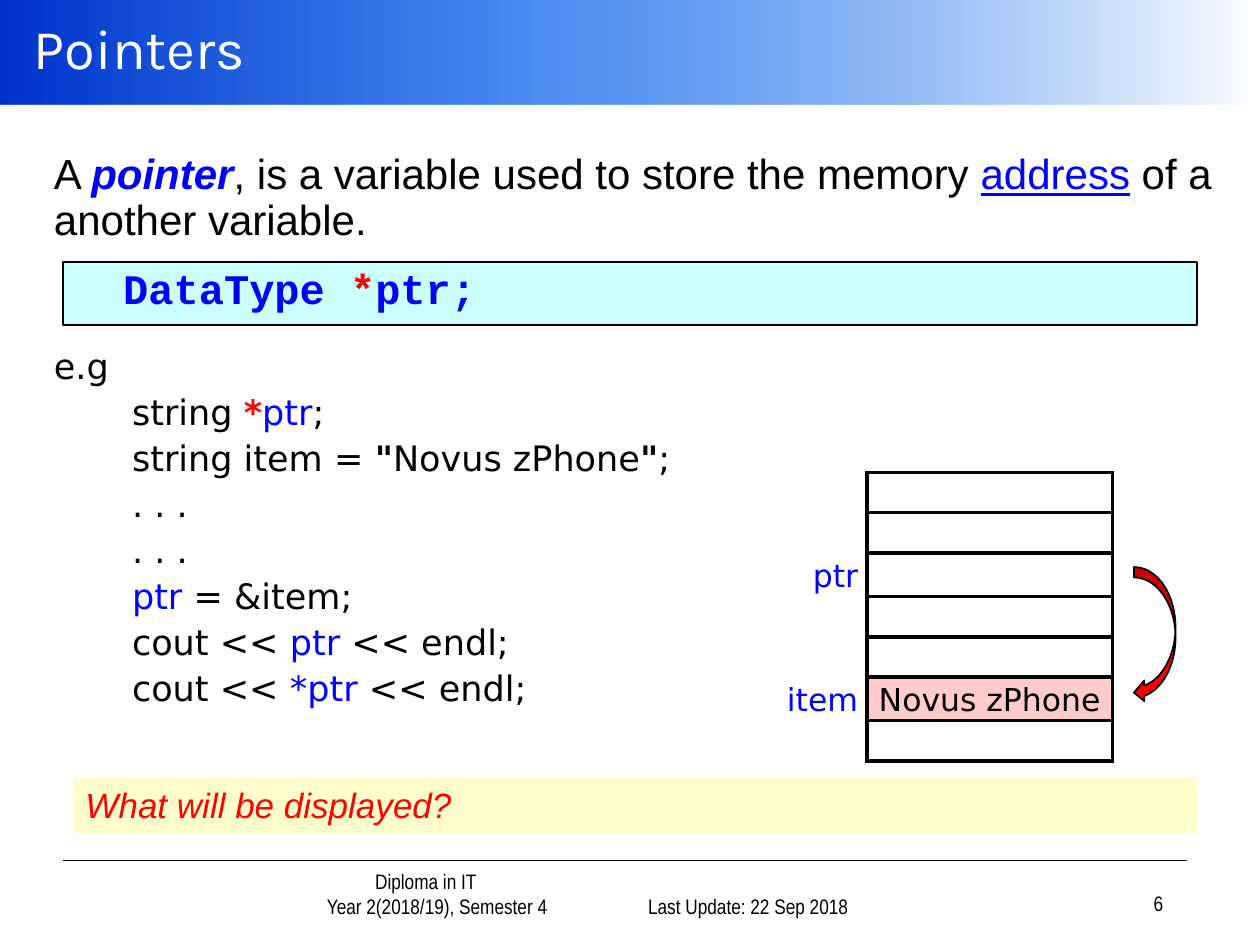
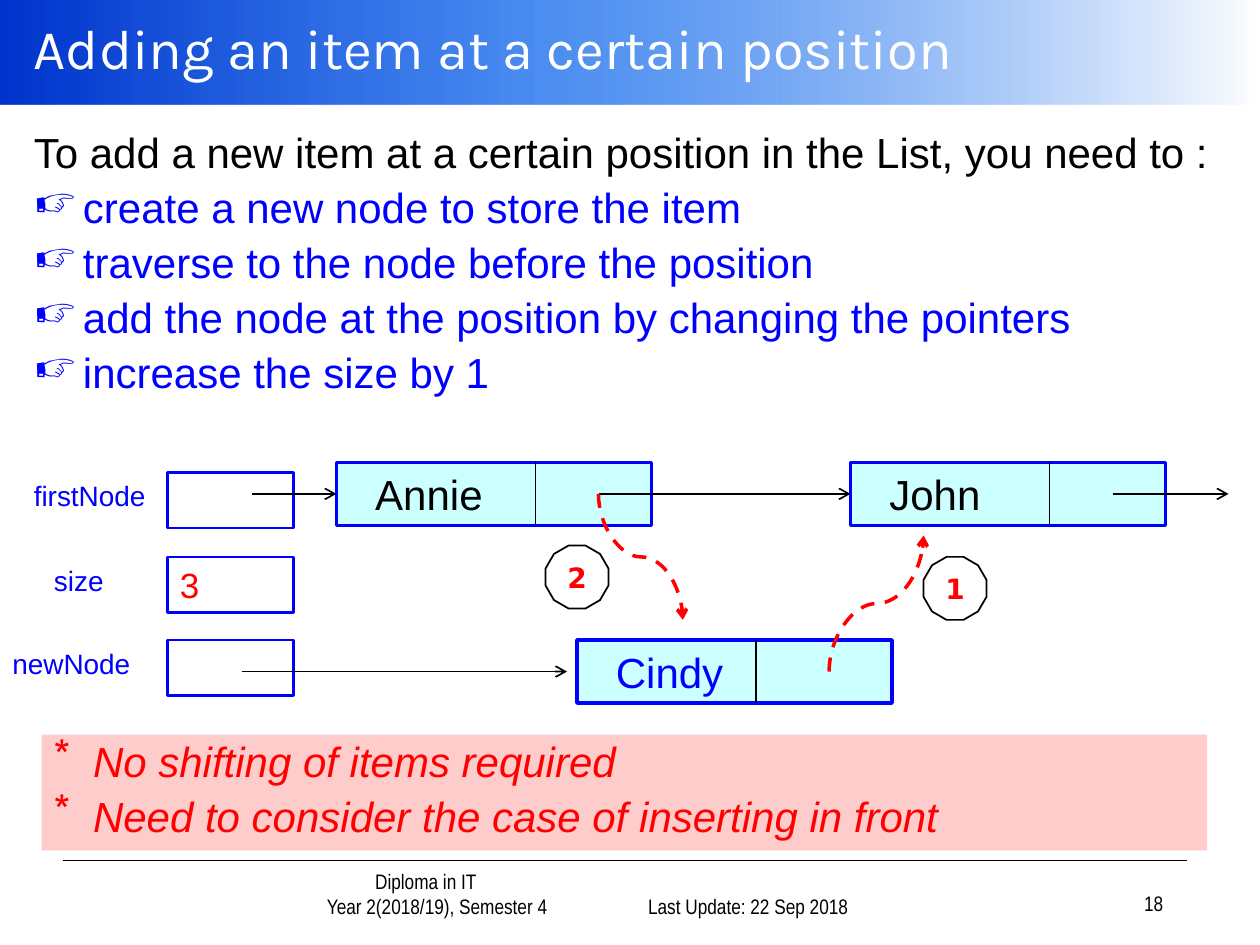
"""Build two lecture slides on pointers and linked lists."""
from dataclasses import dataclass

from lxml.etree import SubElement
from pptx import Presentation
from pptx.dml.color import RGBColor
from pptx.enum.dml import MSO_LINE
from pptx.enum.shapes import MSO_CONNECTOR, MSO_SHAPE
from pptx.enum.text import MSO_ANCHOR, PP_ALIGN
from pptx.oxml.ns import qn
from pptx.util import Inches, Pt


@dataclass(frozen=True)
class Theme:
    black: str = "000000"
    white: str = "FFFFFF"
    blue: str = "0000FF"
    red: str = "FF0000"
    cyan: str = "CCFFFF"
    pink: str = "FFCCCC"
    yellow: str = "FFFFCC"
    band: tuple = ((0, "0033CC", 100), (43, "005EEB", 70), (100, "FFFFFF", 100))
    sans: str = "Arial"
    wide: str = "DejaVu Sans"
    mono: str = "Courier New"
    narrow: str = "Arial Narrow"
    heading: str = "Karla"
    title: int = 32
    body: int = 24
    code: int = 20
    cell: int = 18
    label: int = 16
    footer: int = 12


THEME = Theme()


class Deck:
    def __init__(self, theme):
        self.theme = theme
        self.presentation = Presentation()
        self.presentation.slide_width = Inches(10)
        self.presentation.slide_height = Inches(7.5)
        self.slide = None

    def new_slide(self, title, number):
        theme = self.theme
        self.slide = self.presentation.slides.add_slide(self.presentation.slide_layouts[6])
        self.gradient_band(0, 0, 10, 0.83)
        self.line((0.5, 6.83), (9.42, 6.83), arrow=False)
        self.text(0.17, 0, 9.83, 0.75, [title], size=theme.title, font=theme.heading,
                  color=theme.white, anchor=MSO_ANCHOR.MIDDLE)
        small = dict(size=theme.footer, font=theme.narrow, anchor=MSO_ANCHOR.BOTTOM)
        course = self.text(1.68, 6.92, 2.9, 0.42,
                           ["Diploma in IT", "Year 2(2018/19), Semester 4"],
                           align=PP_ALIGN.CENTER, **small)
        for paragraph, margin in zip(course.text_frame.paragraphs, (0.5, 0.68)):
            self.indent(paragraph, margin)
        self.text(4.75, 6.92, 2.08, 0.42, ["Last Update: 22 Sep 2018"],
                  align=PP_ALIGN.RIGHT, **small)
        self.text(7.25, 6.9, 2.08, 0.42, [str(number)], align=PP_ALIGN.RIGHT, **small)

    def gradient_band(self, left, top, width, height):
        band = self.box(left, top, width, height)
        band.fill.gradient()
        band.fill.gradient_angle = 0
        stops = band._element.spPr.find(".//" + qn("a:gsLst"))
        for stop in list(stops):
            stops.remove(stop)
        for position, color, opacity in self.theme.band:
            stop = SubElement(stops, qn("a:gs"), pos=str(position * 1000))
            tint = SubElement(stop, qn("a:srgbClr"), val=color)
            if opacity < 100:
                SubElement(tint, qn("a:alpha"), val=str(opacity * 1000))

    def box(self, left, top, width, height, fill=None, line=None, weight=1,
            kind=MSO_SHAPE.RECTANGLE):
        shape = self.slide.shapes.add_shape(
            kind, Inches(left), Inches(top), Inches(width), Inches(height))
        shape.shadow.inherit = False
        if fill:
            shape.fill.solid()
            shape.fill.fore_color.rgb = RGBColor.from_string(fill)
        else:
            shape.fill.background()
        if line:
            shape.line.color.rgb = RGBColor.from_string(line)
            shape.line.width = Pt(weight)
        else:
            shape.line.fill.background()
        return shape

    def text(self, left, top, width, height, lines, **style):
        shape = self.slide.shapes.add_textbox(
            Inches(left), Inches(top), Inches(width), Inches(height))
        self.set_lines(shape.text_frame, lines, **style)
        return shape

    def set_lines(self, frame, lines, size, font=None, color=None, align=PP_ALIGN.LEFT,
                  anchor=MSO_ANCHOR.TOP, spacing=None, before=0, margin=0, bold=None,
                  italic=None):
        """Fill a frame with lines, each a string or a list of (text, colour, flags) runs."""
        frame.word_wrap = True
        frame.vertical_anchor = anchor
        for index, line in enumerate(lines):
            paragraph = frame.add_paragraph() if index else frame.paragraphs[0]
            paragraph.alignment = align
            paragraph.space_before = Pt(before)
            if spacing:
                paragraph.line_spacing = spacing
            paragraph.font.size = Pt(size)
            paragraph.font.name = font or self.theme.sans
            paragraph.font.bold = bold
            paragraph.font.italic = italic
            paragraph.font.color.rgb = RGBColor.from_string(color or self.theme.black)
            if margin:
                self.indent(paragraph, margin)
            for part in [(line,)] if isinstance(line, str) else line:
                self.run(paragraph, *part)

    def run(self, paragraph, text, color=None, flags=""):
        run = paragraph.add_run()
        run.text = text
        if color:
            run.font.color.rgb = RGBColor.from_string(color)
        if "b" in flags:
            run.font.bold = True
        if "i" in flags:
            run.font.italic = True
        if "u" in flags:
            run.font.underline = True

    def indent(self, paragraph, margin, bullet=None):
        properties = paragraph._p.get_or_add_pPr()
        properties.set("marL", str(Inches(margin)))
        properties.set("indent", str(-Inches(margin) if bullet else 0))
        if bullet:
            mark = SubElement(properties, qn("a:buChar"), char=bullet)
            defaults = properties.find(qn("a:defRPr"))
            if defaults is not None:
                defaults.addprevious(mark)

    def line(self, start, end, arrow=True):
        connector = self.slide.shapes.add_connector(
            MSO_CONNECTOR.STRAIGHT, *map(Inches, start + end))
        self.stroke(connector, self.theme.black, 1, arrow)

    def s_curve(self, start, end, turn):
        """Draw a dashed curve that leaves and arrives vertically."""
        sign = 1 if turn == 90 else -1
        middle_x, middle_y = (start[0] + end[0]) / 2, (start[1] + end[1]) / 2
        ends = [(middle_x + sign * (y - middle_y), middle_y - sign * (x - middle_x))
                for x, y in (start, end)]
        connector = self.slide.shapes.add_connector(
            MSO_CONNECTOR.CURVE, *map(Inches, ends[0] + ends[1]))
        connector._element.spPr.find(qn("a:xfrm")).set("rot", str(turn * 60000))
        connector.line.dash_style = MSO_LINE.DASH
        self.stroke(connector, self.theme.red, 2, True)

    def stroke(self, connector, color, weight, arrow):
        connector.line.color.rgb = RGBColor.from_string(color)
        connector.line.width = Pt(weight)
        if arrow:
            SubElement(connector.get_or_add_ln(), qn("a:tailEnd"), type="arrow")
        SubElement(connector._element.spPr, qn("a:effectLst"))

    def memory(self, left, top, widths, row_height, rows, marked):
        theme = self.theme
        frame = self.slide.shapes.add_table(
            len(rows), 2, Inches(left), Inches(top),
            Inches(sum(widths)), Inches(row_height * len(rows)))
        table = frame.table
        table.first_row = table.horz_banding = False
        for column, width in zip(table.columns, widths):
            column.width = Inches(width)
        looks = ((theme.blue, PP_ALIGN.RIGHT, "R"), (theme.black, PP_ALIGN.CENTER, "LRTB"))
        for row, values in enumerate(rows):
            table.rows[row].height = Inches(row_height)
            for column, (color, align, sides) in enumerate(looks):
                cell = table.cell(row, column)
                cell.margin_left = cell.margin_right = Inches(0.07)
                cell.margin_top = cell.margin_bottom = 0
                self.borders(cell, sides)
                if column and row == marked:
                    cell.fill.solid()
                    cell.fill.fore_color.rgb = RGBColor.from_string(theme.pink)
                else:
                    cell.fill.background()
                lines = [values[column]] if values[column] else [[]]
                self.set_lines(cell.text_frame, lines, size=theme.cell, font=theme.wide,
                               color=color, align=align,
                               spacing=1.15 if values[column] else None)

    def borders(self, cell, sides):
        properties = cell._tc.get_or_add_tcPr()
        for side in sides:
            edge = SubElement(properties, qn("a:ln" + side), w=str(Pt(2.25)))
            fill = SubElement(edge, qn("a:solidFill"))
            SubElement(fill, qn("a:srgbClr"), val=self.theme.black)

    def node(self, left, top, name, divider, color):
        theme = self.theme
        shape = self.box(left, top, 2.5, 0.5, theme.cyan, theme.blue, 2)
        self.set_lines(shape.text_frame, [name], size=theme.body, color=color, margin=0.21)
        self.line((divider, top), (divider, top + 0.5), arrow=False)

    def variable(self, label, label_left, top, value=None):
        theme = self.theme
        shape = self.box(1.33, top, 1, 0.44, line=theme.blue, weight=1.5)
        if value:
            self.set_lines(shape.text_frame, [value], size=theme.code, color=theme.red)
        self.text(label_left, top, 1.33, 0.37, [label], size=theme.label, color=theme.blue)

    def step(self, left, top, number):
        theme = self.theme
        shape = self.box(left, top, 0.5, 0.5, line=theme.black, kind=MSO_SHAPE.DODECAGON)
        frame = shape.text_frame
        frame.margin_left = frame.margin_right = frame.margin_top = frame.margin_bottom = 0
        self.set_lines(frame, [number], size=theme.label, font=theme.wide, color=theme.red,
                       align=PP_ALIGN.CENTER, anchor=MSO_ANCHOR.MIDDLE, bold=True)


def pointers_slide(deck):
    theme = deck.theme
    blue, red = theme.blue, theme.red
    deck.new_slide("Pointers", 6)
    deck.text(0.33, 1.17, 9.42, 0.85, [[
        ("A ",), ("pointer", blue, "bi"), (", is a variable used to store the memory ",),
        ("address", blue, "u"), (" of a another variable.",)]],
        size=theme.body, spacing=0.9)
    code = deck.text(0.33, 2.72, 5.2, 3, [
        "e.g",
        [("string ",), ("*", red, "b"), ("ptr", blue), (";",)],
        [("string item = ",), ('"', None, "b"), ("Novus zPhone",), ('"', None, "b"), (";",)],
        ". . .",
        ". . .",
        [("ptr", blue), (" = &item;",)],
        [("cout << ",), ("ptr ", blue), ("<< endl;",)],
        [("cout << ",), ("*ptr ", blue), ("<< endl;",)],
    ], size=theme.code, font=theme.wide, spacing=0.9, before=4.7)
    for paragraph in code.text_frame.paragraphs[1:]:
        deck.indent(paragraph, 0.62)
    rows = [("", "")] * 7
    rows[2], rows[5] = ("ptr", ""), ("item", "Novus zPhone")
    deck.memory(5.58, 3.75, (1.3, 1.95), 0.32, rows, marked=5)
    deck.box(9, 4.5, 0.33, 1.08, red, theme.black, kind=MSO_SHAPE.CURVED_LEFT_ARROW)
    syntax = deck.box(0.5, 2.08, 9, 0.5, theme.cyan, theme.black, 0.75)
    deck.set_lines(syntax.text_frame, [[("DataType ",), ("*", red), ("ptr;",)]],
                   size=theme.body, font=theme.mono, color=blue, bold=True, spacing=0.9,
                   margin=0.38)
    question = deck.box(0.58, 6.17, 8.92, 0.44, theme.yellow)
    deck.set_lines(question.text_frame, ["What will be displayed?"], size=theme.code,
                   color=red, italic=True)


def insertion_slide(deck):
    theme = deck.theme
    deck.new_slide("Adding an item at a certain position", 18)
    listing = dict(size=theme.body, spacing=0.9, before=5.5)
    steps = ["create a new node to store the item", "traverse to the node before the position",
             "add the node at the position by changing the pointers", "increase the size by 1"]
    body = deck.text(
        0.17, 1, 9.67, 2.33,
        ["To add a new item at a certain position in the List, you need to :"] + steps,
        **listing)
    for paragraph in body.text_frame.paragraphs[1:]:
        paragraph.font.color.rgb = RGBColor.from_string(theme.blue)
        deck.indent(paragraph, 0.39, "\u261e")
    deck.node(2.67, 3.67, "Annie", 4.25, theme.black)
    deck.node(6.75, 3.67, "John", 8.33, theme.black)
    deck.node(4.58, 5.08, "Cindy", 6, theme.blue)
    deck.variable("firstNode", 0.17, 3.75)
    deck.variable("size", 0.33, 4.42, "3")
    deck.variable("newNode", 0, 5.08)
    for start, end in (((2, 3.92), (2.67, 3.92)), ((4.75, 3.92), (6.75, 3.92)),
                       ((8.83, 3.92), (9.75, 3.92)), ((1.92, 5.33), (4.5, 5.33))):
        deck.line(start, end)
    deck.s_curve((6.58, 5.33), (7.33, 4.25), 90)
    deck.s_curve((4.75, 3.92), (5.42, 4.92), 270)
    deck.step(7.33, 4.42, "1")
    deck.step(4.33, 4.33, "2")
    notes = deck.box(0.33, 5.83, 9.25, 0.92, theme.pink)
    deck.set_lines(notes.text_frame, ["No shifting of items required",
                                      "Need to consider the case of inserting in front"],
                   color=theme.red, italic=True, **listing)
    for paragraph in notes.text_frame.paragraphs:
        deck.indent(paragraph, 0.31, "*")


deck = Deck(THEME)
pointers_slide(deck)
insertion_slide(deck)
deck.presentation.save("out.pptx")
